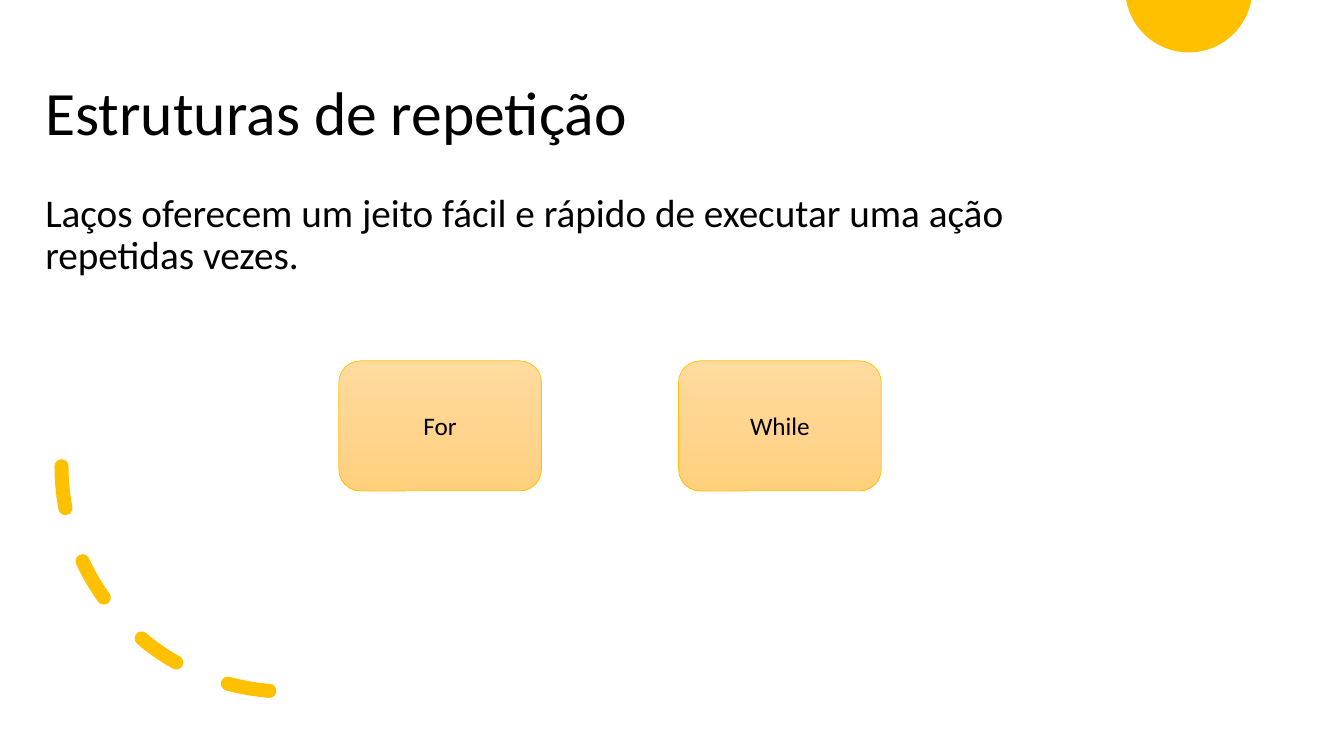
from copy import deepcopy
from dataclasses import dataclass
import math

from lxml import etree
from pptx import Presentation
from pptx import util as u
from pptx.dml.color import RGBColor
from pptx.enum import dml, shapes, text
from pptx.oxml.ns import qn


@dataclass(frozen=True)
class Theme:
    font: str = "Calibri"
    ink: str = "000000"
    accent: str = "FFC000"
    shades: tuple = ("FFDB9E", "FFD590", "FFD07C")
    title: int = 44
    body: int = 28
    label: int = 18


THEME = Theme()
W, H = u.Inches(13.33), u.Inches(7.5)


def area(left, top, width, height):
    return (round(W * left / 100), round(H * top / 100),
            round(W * width / 100), round(H * height / 100))


def rgb(value):
    return RGBColor.from_string(value)


def write(sp, words, size, align=text.PP_ALIGN.LEFT,
          anchor=text.MSO_ANCHOR.MIDDLE, spacing=None):
    tf = sp.text_frame
    tf.word_wrap = True
    tf.auto_size = text.MSO_AUTO_SIZE.NONE
    tf.vertical_anchor = anchor
    p = tf.paragraphs[0]
    p.alignment = align
    p.line_spacing = spacing
    p.space_before = u.Pt(0)
    r = p.add_run()
    r.text = words
    r.font.name = THEME.font
    r.font.size = u.Pt(size)
    r.font.color.rgb = rgb(THEME.ink)


def outline(sp, width):
    sp.shadow.inherit = False
    sp.line.color.rgb = rgb(THEME.accent)
    sp.line.width = u.Pt(width)


def add_title(s, words, *place):
    sp = s.shapes.title
    sp.left, sp.top, sp.width, sp.height = area(*place)
    write(sp, words, THEME.title, spacing=0.9)


def add_body(s, words, *place):
    sp = s.shapes.add_textbox(*area(*place))
    write(sp, words, THEME.body, anchor=text.MSO_ANCHOR.TOP, spacing=0.9)


def add_cut_disc(s, center_x, center_y, radius, steps=48):
    cx, cy, r = W * center_x / 100, H * center_y / 100, W * radius / 100
    start = math.asin(-cy / r)
    sweep = math.pi - 2 * start
    points = [(round(cx + r * math.cos(a)), round(cy + r * math.sin(a)))
              for a in (start + sweep * i / steps for i in range(steps + 1))]
    builder = s.shapes.build_freeform(*points[0])
    builder.add_line_segments(points[1:], close=True)
    sp = builder.convert_to_shape()
    sp.shadow.inherit = False
    sp.fill.solid()
    sp.fill.fore_color.rgb = rgb(THEME.accent)
    sp.line.fill.background()


def add_dashed_arc(s, *place):
    sp = s.shapes.add_shape(shapes.MSO_SHAPE.ARC, *area(*place))
    sp.rotation = 90
    sp.fill.background()
    outline(sp, 10)
    sp.line.dash_style = dml.MSO_LINE.DASH
    spPr = sp._element.spPr
    spPr.find(qn("a:xfrm")).set("flipV", "1")
    ln = spPr.find(qn("a:ln"))
    ln.set("cap", "rnd")
    etree.SubElement(ln, qn("a:round"))


def shade(sp):
    sp.fill.gradient()
    sp.fill.gradient_angle = 270
    stops = next(sp._element.spPr.iter(qn("a:gsLst")))
    stops.insert(1, deepcopy(stops[0]))
    for i, (stop, color) in enumerate(zip(sp.fill.gradient_stops, THEME.shades)):
        stop.position = i / 2
        stop.color.rgb = rgb(color)


def add_card(s, words, *place):
    sp = s.shapes.add_shape(shapes.MSO_SHAPE.ROUNDED_RECTANGLE, *area(*place))
    shade(sp)
    outline(sp, 0.5)
    write(sp, words, THEME.label, align=text.PP_ALIGN.CENTER)


def main():
    prs = Presentation()
    prs.slide_width, prs.slide_height = W, H
    s = prs.slides.add_slide(prs.slide_layouts[5])
    add_cut_disc(s, 88.45, -1.47, 4.73)
    add_dashed_arc(s, 4.58, 31.87, 33.53, 59.6)
    add_title(s, "Estruturas de repetição", 2.63, 5.6, 86.27, 19.33)
    add_body(s, "Laços oferecem um jeito fácil e rápido de executar "
                "uma ação repetidas vezes.", 2.63, 24.93, 83.12, 15.6)
    for i, loop in enumerate(("For", "While")):
        add_card(s, loop, 25.21 + 25.28 * i, 47.73, 15.08, 17.2)
    prs.save("out.pptx")


if __name__ == "__main__":
    main()
